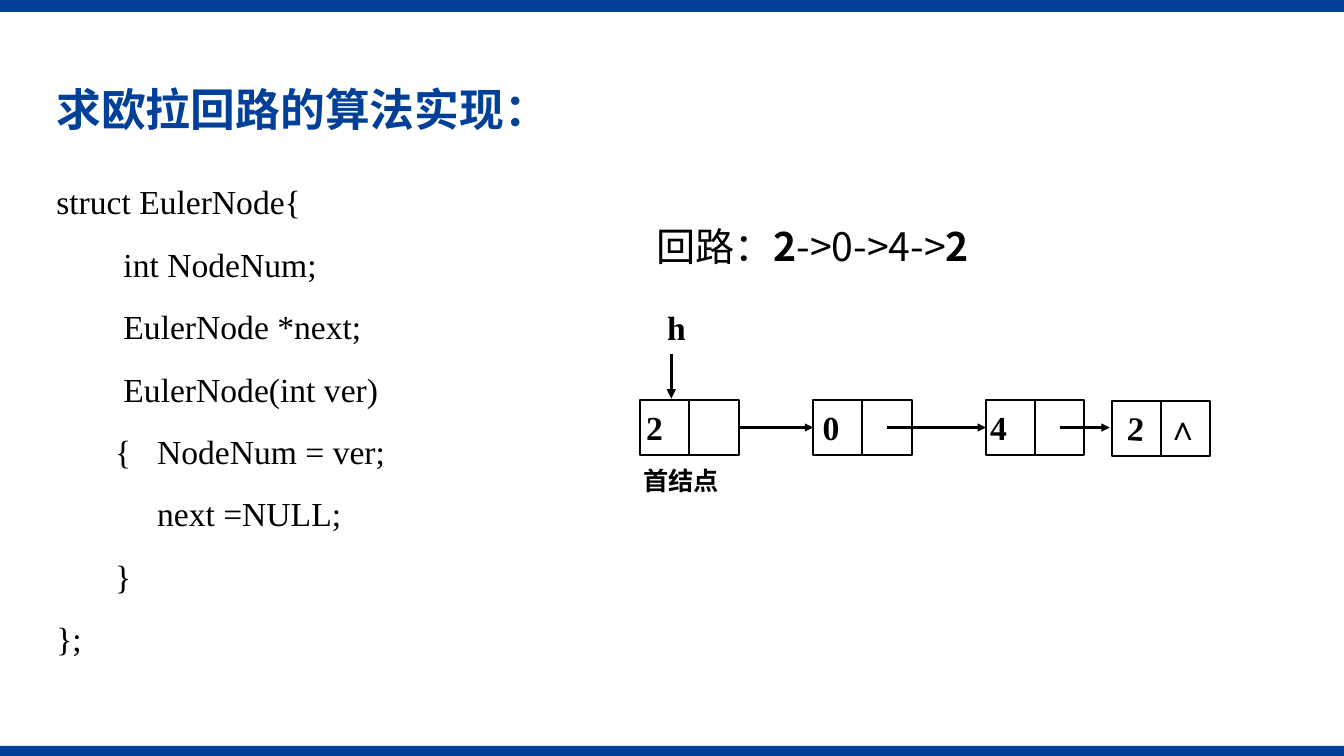
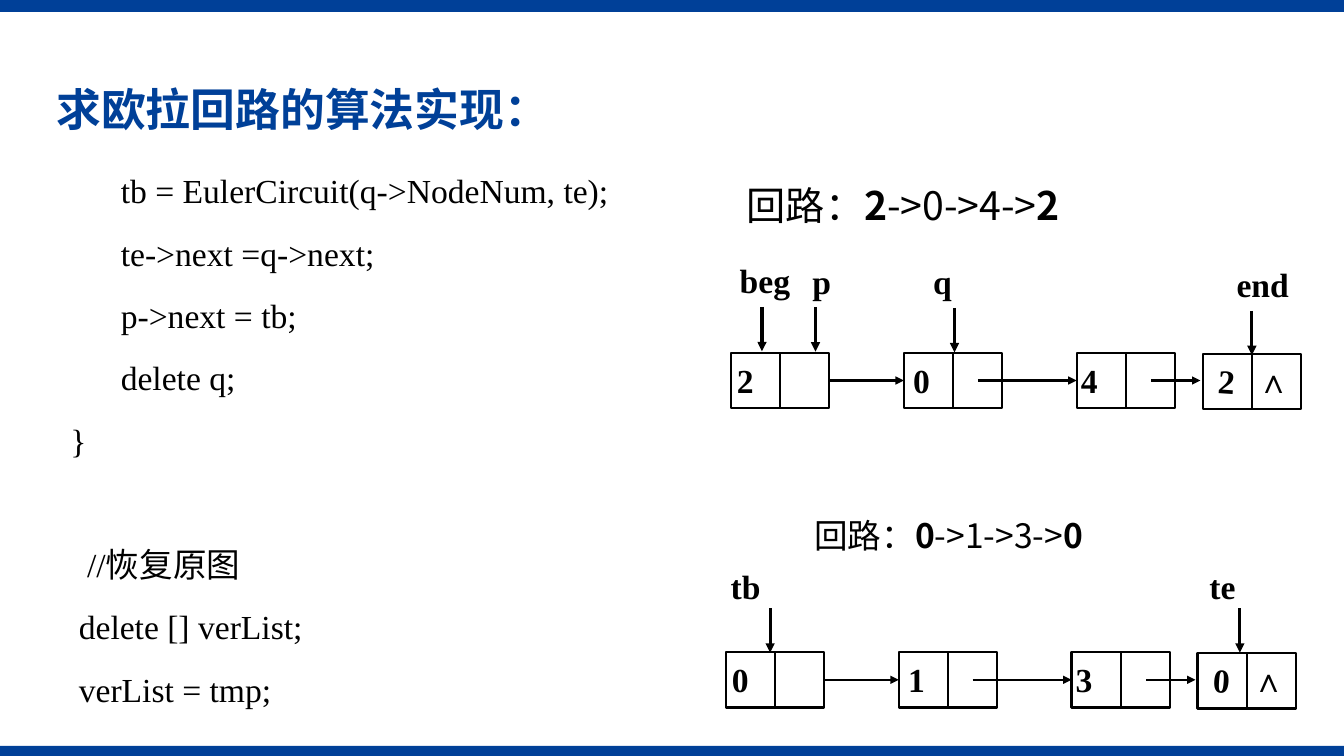
"""Build two slides on finding an Euler circuit with linked lists."""
from dataclasses import dataclass

from lxml import etree
from pptx import Presentation
from pptx import util as u
from pptx.dml import color
from pptx.enum import shapes, text
from pptx.oxml import ns


@dataclass(frozen=True)
class Theme:
    blue: color.RGBColor = color.RGBColor(0x00, 0x40, 0x98)
    black: color.RGBColor = color.RGBColor(0x00, 0x00, 0x00)
    serif: str = "Times New Roman"
    chinese: str = "Noto Sans CJK SC"
    title_size: int = 32
    route_size: int = 28
    body_size: int = 24
    note_size: int = 18
    cell_line: float = 1.5
    pointer_line: float = 2.25


class Deck:
    width, height = 960, 540
    cell_width, cell_height = 35.2, 39.6
    node_offsets = ((0, 0), (123.6, 0), (247, 0), (337, 0.7))
    value_offsets = ((4.3, 5, 27, 0), (130.3, 5, 27, 0), (250, 5, 27, 0),
                     (348, 5.7, 19.4, 3.8), (375.8, 5, 24, 0))

    def __init__(self, theme):
        self.theme = theme
        self.presentation = Presentation()
        self.presentation.slide_width = u.Pt(self.width)
        self.presentation.slide_height = u.Pt(self.height)
        self.slide = None

    def assign(self, target, values):
        for name, value in values.items():
            setattr(target, name, value)

    def new_slide(self, title):
        self.slide = self.presentation.slides.add_slide(
            self.presentation.slide_layouts[6])
        for top, height in ((532.8, 7.2), (0, 8.6)):
            band = self.rectangle(0, top, self.width, height)
            band.fill.solid()
            band.fill.fore_color.rgb = self.theme.blue
            band.line.fill.background()
        box = self.text((33.1, 57.6, 879, 45.4), title, {
            "name": self.theme.chinese, "size": u.Pt(self.theme.title_size),
            "bold": True, "rgb": self.theme.blue})
        box.text_frame.vertical_anchor = text.MSO_ANCHOR.MIDDLE
        box.text_frame.paragraphs[0].line_spacing = 0.9

    def rectangle(self, left, top, width, height):
        shape = self.slide.shapes.add_shape(
            shapes.MSO_SHAPE.RECTANGLE, *map(u.Pt, (left, top, width, height)))
        shape.shadow.inherit = False
        return shape

    def fill_paragraph(self, paragraph, runs, style):
        if isinstance(runs, str):
            runs = [(runs, {})]
        for words, changes in runs:
            run = paragraph.add_run()
            run.text = words
            values = {"rgb": self.theme.black, **style, **changes}
            run.font.color.rgb = values.pop("rgb")
            self.assign(run.font, values)
            east_asian = etree.SubElement(run.font._element, ns.qn("a:ea"))
            east_asian.set("typeface", values["name"])

    def text(self, box, runs, style, alignment=None):
        shape = self.slide.shapes.add_textbox(*map(u.Pt, box))
        shape.text_frame.word_wrap = True
        paragraph = shape.text_frame.paragraphs[0]
        paragraph.alignment = alignment
        self.fill_paragraph(paragraph, runs, style)
        return shape

    def label(self, box, words):
        style = {"name": self.theme.serif, "bold": True,
                 "size": u.Pt(self.theme.body_size)}
        return self.text(box, words, style, text.PP_ALIGN.JUSTIFY)

    def note(self, box, words):
        self.text(box, words, {"name": self.theme.chinese, "bold": True,
                               "size": u.Pt(self.theme.note_size)})

    def code(self, box, lines):
        shape = self.slide.shapes.add_textbox(*map(u.Pt, box))
        frame = shape.text_frame
        frame.word_wrap = True
        style = {"name": self.theme.serif, "size": u.Pt(self.theme.body_size)}
        for index, (runs, start, *options) in enumerate(lines):
            hanging, before = (*options, 0, 10)[:2] if not options else (*options, 10)[:2]
            paragraph = frame.add_paragraph() if index else frame.paragraphs[0]
            self.assign(paragraph, {"line_spacing": 1.2,
                                    "space_before": u.Pt(before)})
            properties = paragraph._p.get_or_add_pPr()
            properties.set("marL", str(u.Pt(start + hanging)))
            properties.set("indent", str(-u.Pt(hanging)))
            self.fill_paragraph(paragraph, runs, style)

    def route(self, box, stops, size):
        last = len(stops) - 1
        bold = {"bold": True}
        runs = [("回路：", {}), (stops[0], bold),
                ("->" + "->".join(stops[1:last]) + "->", {}),
                (stops[last], bold)]
        self.text(box, runs, {"name": self.theme.chinese, "size": u.Pt(size)})

    def arrow(self, start, end, weight):
        connector = self.slide.shapes.add_connector(
            shapes.MSO_CONNECTOR.STRAIGHT, *map(u.Pt, (*start, *end)))
        connector.line.color.rgb = self.theme.black
        connector.line.width = u.Pt(weight)
        tail = etree.SubElement(connector.line._get_or_add_ln(),
                                ns.qn("a:tailEnd"))
        tail.set("type", "triangle")
        etree.SubElement(connector._element.spPr, ns.qn("a:effectLst"))
        return connector

    def node(self, left, top):
        cells = []
        for column in range(2):
            cell = self.rectangle(left + column * self.cell_width, top,
                                  self.cell_width, self.cell_height)
            cell.fill.background()
            cell.line.color.rgb = self.theme.black
            cell.line.width = u.Pt(self.theme.cell_line)
            cells.append(cell)
        return cells

    def linked_list(self, left, top, values):
        nodes = [self.node(left + x, top + y) for x, y in self.node_offsets]
        middle = top + self.cell_height / 2
        first, second, third = [
            self.arrow((left + start, middle), (left + end, middle),
                       self.theme.cell_line)
            for start, end in ((70.4, 123.6), (176.4, 247), (300.2, 335.5))]
        first.begin_connect(nodes[0][1], 3)
        first.end_connect(nodes[1][0], 1)
        second.end_connect(nodes[2][0], 1)
        for value, (x, y, width, angle) in zip((*values, "∧"),
                                              self.value_offsets):
            box = self.label((left + x, top + y, width, 34), value)
            box.rotation = angle
            self.assign(box.text_frame, dict.fromkeys(
                ("margin_left", "margin_top", "margin_right", "margin_bottom"), 0))

    def pointer(self, name, left, top, arrow_left, gap=37):
        self.label((left, top, 70, 36), name)
        start = top + gap
        self.arrow((arrow_left, start), (arrow_left, start + 31.7),
                   self.theme.pointer_line)


def main():
    theme = Theme()
    deck = Deck(theme)
    title = "求欧拉回路的算法实现："
    main_route = ("2", "0", "4", "2")
    side_route = ("0", "1", "3", "0")

    deck.new_slide(title)
    deck.code((33.1, 120.2, 359.3, 405.4), [
        ("struct EulerNode{", 0),
        ("int NodeNum;", 48),
        ("EulerNode *next;", 48),
        ("EulerNode(int ver)", 48),
        ("{\tNodeNum = ver;", 42, 30),
        ("next =NULL;", 72),
        ("}", 42),
        ("};", 0)])
    deck.linked_list(457.2, 285.6, main_route)
    deck.pointer("h", 469.4, 216, 479.5)
    deck.note((452.2, 329, 73.4, 28.8), "首结点")
    deck.route((461.5, 155.5, 320.4, 63.4), main_route, theme.route_size)

    deck.new_slide(title)
    deck.code((43.2, 112.3, 421.2, 405.4), [
        ("tb = EulerCircuit(q->NodeNum, te);", 36),
        ("te->next =q->next;", 36),
        ("p->next = tb;", 36),
        ("delete q;", 36),
        ("}", 0),
        ([("//", {}), ("恢复原图", {"name": theme.chinese})], 12, 0, 54),
        ("delete [] verList;", 6),
        ("verList = tmp;", 6)])
    deck.route((526.3, 126, 320.4, 63.4), main_route, theme.route_size)
    deck.linked_list(522, 252, main_route)
    for pointer in (("beg", 521.3, 182.2, 544.3), ("p", 573.1, 182.5, 582.5),
                    ("q", 659.5, 183, 681.8), ("end", 876.2, 185, 894.2)):
        deck.pointer(*pointer)
    deck.route((574.6, 364.3, 271.4, 36), side_route, theme.body_size)
    deck.linked_list(518.4, 465.8, side_route)
    for pointer in (("tb", 514.8, 401, 550.1), ("te", 856.8, 401, 885.6)):
        deck.pointer(*pointer, gap=33.5)

    deck.presentation.save("out.pptx")


if __name__ == "__main__":
    main()
